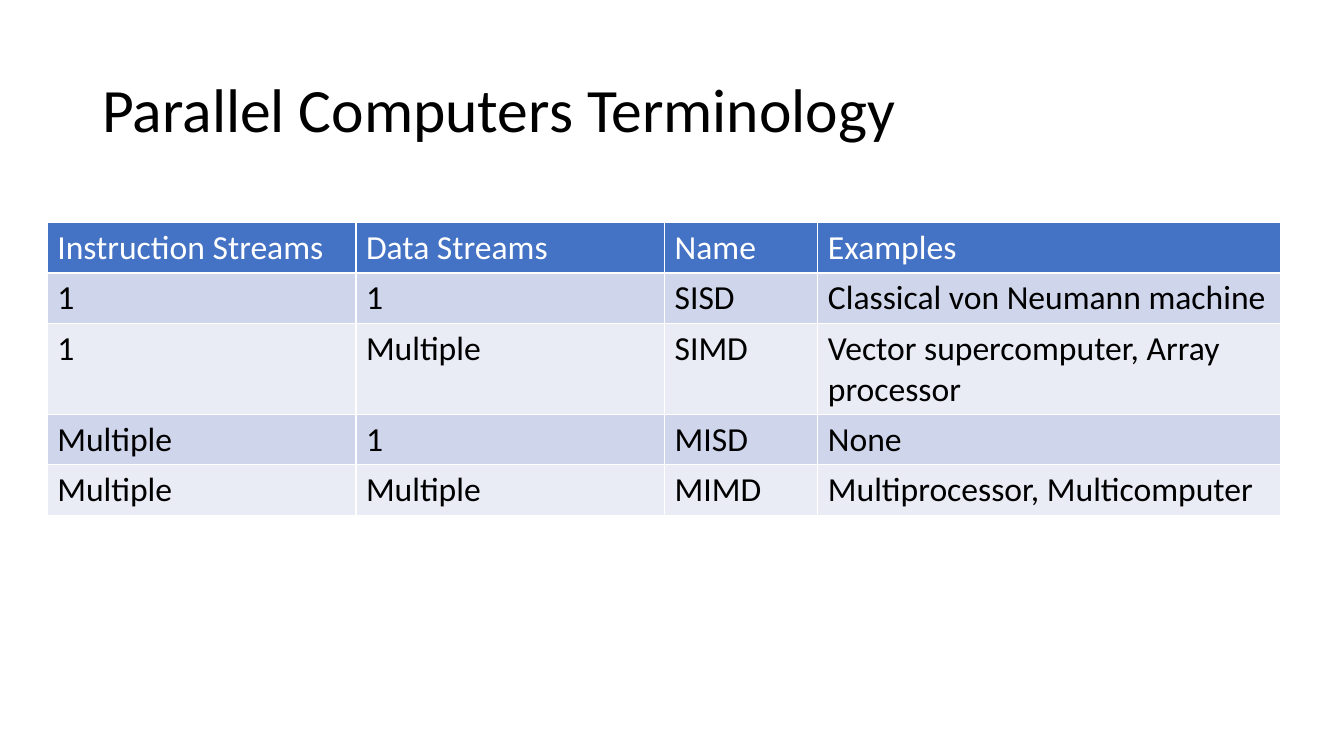
import pptx
import pptx.dml.color
import pptx.enum.text
import pptx.util

RGB = pptx.dml.color.RGBColor
BLACK = RGB(0x00, 0x00, 0x00)
WHITE = RGB(0xFF, 0xFF, 0xFF)
BLUE = RGB(0x44, 0x72, 0xC4)
BANDS = [RGB(0xE9, 0xEB, 0xF5), RGB(0xCF, 0xD5, 0xEA)]


def px(*sizes):
    """Turn pixels (96 to the inch) into EMU."""
    return [pptx.util.Emu(size * 9525) for size in sizes]


def style(para, size, color):
    look = {"name": "Calibri", "size": pptx.util.Pt(size), "bold": False}
    for key, value in look.items():
        setattr(para.font, key, value)
    para.font.color.rgb = color


deck = pptx.Presentation()
deck.slide_width, deck.slide_height = px(1280, 720)
slide = deck.slides.add_slide(deck.slide_layouts[6])

# Title
title = slide.shapes.add_textbox(*px(88, 38, 1104, 139)).text_frame
title.word_wrap = True
title.vertical_anchor = pptx.enum.text.MSO_ANCHOR.MIDDLE
title.text = "Parallel Computers Terminology"
title.paragraphs[0].line_spacing = 0.9
style(title.paragraphs[0], 44, BLACK)

# Table of stream classes
rows = [
    ["Instruction Streams", "Data Streams", "Name", "Examples"],
    ["1", "1", "SISD", "Classical von Neumann machine"],
    ["1", "Multiple", "SIMD", "Vector supercomputer, Array processor"],
    ["Multiple", "1", "MISD", "None"],
    ["Multiple", "Multiple", "MIMD", "Multiprocessor, Multicomputer"],
]
widths = px(294, 294, 146, 441)
table = slide.shapes.add_table(
    len(rows), len(widths), *px(45, 212, 1175, 39 * len(rows))).table
for column, width in zip(table.columns, widths):
    column.width = width

# Cells: blue header, then alternating bands
for r, row in enumerate(rows):
    for c, text in enumerate(row):
        cell = table.cell(r, c)
        cell.text = text
        cell.fill.solid()
        cell.fill.fore_color.rgb = BANDS[r % 2] if r else BLUE
        style(cell.text_frame.paragraphs[0], 24, BLACK if r else WHITE)

deck.save("out.pptx")
